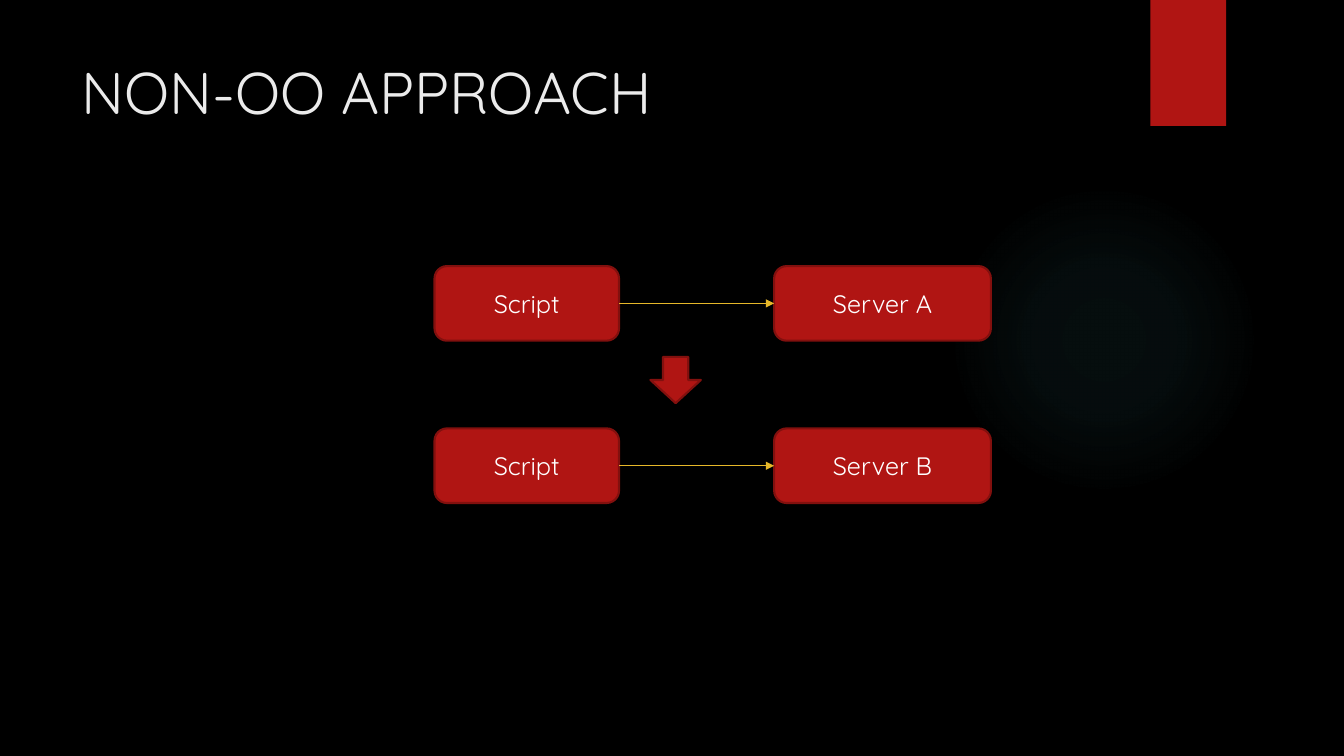
from lxml import etree
from pptx import Presentation
from pptx.dml.color import RGBColor
from pptx.enum.shapes import MSO_CONNECTOR as CONN, MSO_SHAPE as SHAPE
from pptx.enum.text import MSO_ANCHOR as ANCHOR, PP_ALIGN as ALIGN
from pptx.oxml import parse_xml
from pptx.oxml.ns import nsdecls, qn
from pptx.util import Inches, Pt

BLACK = RGBColor(0x00, 0x00, 0x00)
RED = RGBColor(0xB0, 0x15, 0x13)
DARK_RED = RGBColor(0x82, 0x10, 0x0E)
GOLD = RGBColor(0xE6, 0xB7, 0x29)
TEAL = RGBColor(0x50, 0xB9, 0xC1)
OFF_WHITE = RGBColor(0xEB, 0xEB, 0xEB)
WHITE = RGBColor(0xFF, 0xFF, 0xFF)
FONT = "Quicksand"


def write(tf, text, size=18, color=WHITE, align=ALIGN.CENTER, anchor=ANCHOR.MIDDLE):
    tf.word_wrap = True
    tf.vertical_anchor = anchor
    p = tf.paragraphs[0]
    p.alignment = align
    r = p.add_run()
    r.text = text
    r.font.name, r.font.size = FONT, Pt(size)
    r.font.color.rgb = color


class Deck:
    """Draws on one slide; all lengths are percent of its width or height."""

    def __init__(self):
        self.prs = Presentation()
        self.prs.slide_width, self.prs.slide_height = Inches(13.33), Inches(7.5)
        self.s = self.prs.slides.add_slide(self.prs.slide_layouts[6])
        fill = self.s.background.fill
        fill.solid()
        fill.fore_color.rgb = BLACK

    def place(self, x, y):
        return (round(self.prs.slide_width * x / 100),
                round(self.prs.slide_height * y / 100))

    def shape(self, kind, x, y, w, h, text=None, outlined=True):
        sp = self.s.shapes.add_shape(kind, *self.place(x, y), *self.place(w, h))
        sp.shadow.inherit = False
        sp.fill.solid()
        sp.fill.fore_color.rgb = RED
        if outlined:
            sp.line.color.rgb = DARK_RED
            sp.line.width = Pt(1.5)
        else:
            sp.line.fill.background()
        if text:
            write(sp.text_frame, text)
        return sp

    def glow(self, x, y, w, h, stops):
        sp = self.shape(SHAPE.OVAL, x, y, w, h, outlined=False)
        gs = "".join(f'<a:gs pos="{pos * 1000}"><a:srgbClr val="{TEAL}">'
                     f'<a:alpha val="{alpha * 1000}"/></a:srgbClr></a:gs>'
                     for pos, alpha in stops)
        grad = parse_xml(
            f'<a:gradFill {nsdecls("a")}><a:gsLst>{gs}</a:gsLst><a:path path="circle">'
            '<a:fillToRect l="50000" t="50000" r="50000" b="50000"/></a:path></a:gradFill>')
        spPr = sp.element.spPr
        spPr.replace(spPr.find(qn("a:solidFill")), grad)

    def title(self, text, x, y, w, h):
        tb = self.s.shapes.add_textbox(*self.place(x, y), *self.place(w, h))
        write(tb.text_frame, text, size=42, color=OFF_WHITE,
              align=ALIGN.LEFT, anchor=ANCHOR.TOP)

    def link(self, start, end):
        c = self.s.shapes.add_connector(CONN.STRAIGHT, 0, 0, 0, 0)
        c.begin_connect(start, 3)
        c.end_connect(end, 1)
        c.line.color.rgb = GOLD
        c.line.width = Pt(0.75)
        etree.SubElement(c.line._get_or_add_ln(), qn("a:tailEnd"), type="triangle")
        etree.SubElement(c.element.spPr, qn("a:effectLst"))


def main():
    d = Deck()

    # Backdrop and title
    d.glow(70.58, 24.4, 23.1, 41.07, [(0, 7), (36, 6), (69, 0)])
    d.shape(SHAPE.RECTANGLE, 85.6, 0, 5.63, 16.67, outlined=False)
    d.title("NON-OO APPROACH", 5.33, 6.67, 77.2, 20.4)

    # One row per server, each reached by its script
    top, pitch, height = 35.2, 21.47, 9.87
    for i, server in enumerate(["Server A", "Server B"]):
        y = top + i * pitch
        target = d.shape(SHAPE.ROUNDED_RECTANGLE, 57.6, y, 16.13, height, server)
        script = d.shape(SHAPE.ROUNDED_RECTANGLE, 32.33, y, 13.73, height, "Script")
        d.link(script, target)

    # Step from the first row to the second
    d.shape(SHAPE.DOWN_ARROW, 48.4, 47.2, 3.75, 6.13)

    d.prs.save("out.pptx")


if __name__ == "__main__":
    main()
